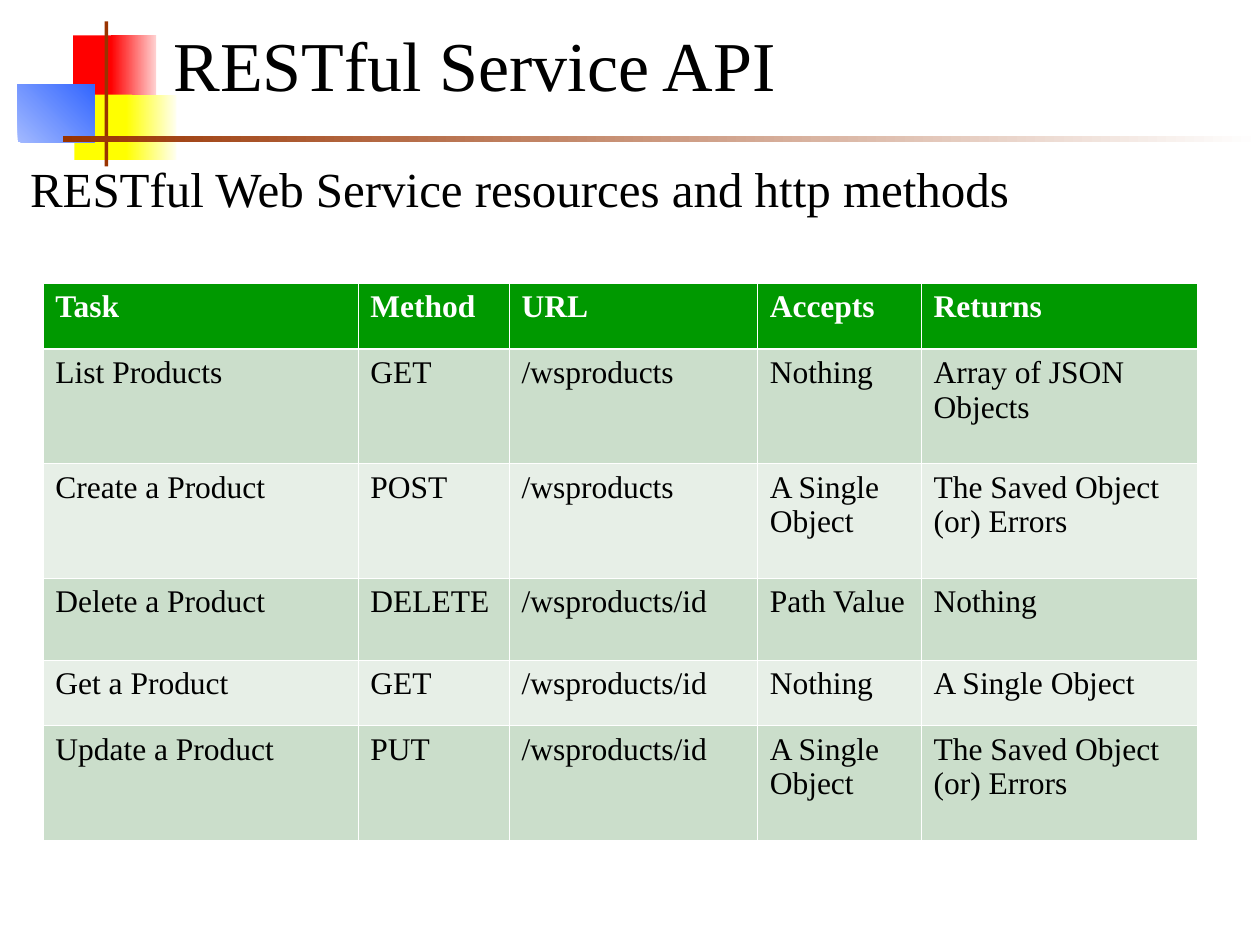
from typing import NamedTuple, Optional

from lxml import etree
from pptx import Presentation, util as u
from pptx.dml.color import RGBColor
from pptx.enum import shapes, text
from pptx.oxml.ns import qn

FONT = "Times New Roman"
COLORS = {
    "red": "FF0000", "pale_red": "FFD1D1",
    "yellow": "FFFF00", "pale_yellow": "FFFFF0",
    "blue": "3366FF", "pale_blue": "A2B9FF",
    "brown": "993300", "white": "FFFFFF", "black": "000000",
    "header": "009900", "band_dark": "CBDECB", "band_light": "E7EFE7",
}
THIN, THICK = 0.45, 1.47


class Block(NamedTuple):
    left: float
    top: float
    width: float
    height: float
    color: str
    fade_to: Optional[str] = None
    angle: float = 0


class Label(NamedTuple):
    left: float
    top: float
    width: float
    height: float
    words: str
    size: float
    anchor: text.MSO_ANCHOR
    margin_top: float = 0.05
    space_before: float = 0


BLOCKS = [
    Block(0.58, 0.28, 0.35, 0.52, "red"),
    Block(0.88, 0.28, 0.36, 0.52, "red", "pale_red"),
    Block(0.59, 0.75, 0.46, 0.52, "yellow"),
    Block(1, 0.75, 0.4, 0.52, "yellow", "pale_yellow"),
    Block(0.14, 0.67, 0.61, 0.46, "pale_blue", "blue", 45),
    Block(0.83, 0.17, 0.03, 1.15, "brown"),
    Block(0.5, 1.08, 9.5, 0.05, "brown", "white"),
]
LABELS = [
    Label(1.28, 0.42, 8.7, 0.47, "RESTful Service API", 40,
          text.MSO_ANCHOR.BOTTOM),
    Label(0.14, 1.25, 9.86, 0.75,
          "RESTful Web Service resources and http methods", 28,
          text.MSO_ANCHOR.TOP, margin_top=0.01, space_before=7),
]
COLUMN_WIDTHS = [2.5, 1.2, 1.97, 1.3, 2.19]
ROW_HEIGHTS = [0.52, 0.91, 0.91, 0.65, 0.52, 0.91]
ROWS = [
    ("Task", "Method", "URL", "Accepts", "Returns"),
    ("List Products", "GET", "/wsproducts", "Nothing",
     "Array of JSON Objects"),
    ("Create a Product", "POST", "/wsproducts", "A Single Object",
     "The Saved Object (or) Errors"),
    ("Delete a Product", "DELETE", "/wsproducts/id", "Path Value", "Nothing"),
    ("Get a Product", "GET", "/wsproducts/id", "Nothing", "A Single Object"),
    ("Update a Product", "PUT", "/wsproducts/id", "A Single Object",
     "The Saved Object (or) Errors"),
]


def rgb(name: str) -> RGBColor:
    return RGBColor.from_string(COLORS[name])


def write(frame, words: str, size: float, color: str, bold: bool = False):
    frame.text = words
    paragraph = frame.paragraphs[0]
    font = paragraph.runs[0].font
    font.name, font.size, font.bold = FONT, u.Pt(size), bold
    font.color.rgb = rgb(color)
    return paragraph


def draw_block(slide, block: Block) -> None:
    shape = slide.shapes.add_shape(
        shapes.MSO_SHAPE.RECTANGLE, *(u.Inches(n) for n in block[:4]))
    shape.shadow.inherit = False
    shape.line.fill.background()
    if block.fade_to is None:
        shape.fill.solid()
        shape.fill.fore_color.rgb = rgb(block.color)
        return
    shape.fill.gradient()
    shape.fill.gradient_angle = block.angle
    stops = shape.fill.gradient_stops
    for stop, color, position in zip(stops, (block.color, block.fade_to), (0, 1)):
        stop.color.rgb = rgb(color)
        stop.position = position


def draw_label(slide, label: Label) -> None:
    box = slide.shapes.add_textbox(*(u.Inches(n) for n in label[:4]))
    frame = box.text_frame
    frame.word_wrap = True
    frame.vertical_anchor = label.anchor
    frame.margin_top = u.Inches(label.margin_top)
    paragraph = write(frame, label.words, label.size, "black")
    paragraph.space_before = u.Pt(label.space_before)


def set_borders(cell, top: float, bottom: float) -> None:
    properties = cell._tc.get_or_add_tcPr()
    widths = {"a:lnL": THIN, "a:lnR": THIN, "a:lnT": top, "a:lnB": bottom}
    for index, (tag, width) in enumerate(widths.items()):
        line = etree.Element(qn(tag), w=str(u.Pt(width)))
        fill = etree.SubElement(line, qn("a:solidFill"))
        etree.SubElement(fill, qn("a:srgbClr"), val=COLORS["white"])
        properties.insert(index, line)


def draw_table(slide) -> None:
    table = slide.shapes.add_table(
        len(ROWS), len(COLUMN_WIDTHS), u.Inches(0.34), u.Inches(2.25),
        u.Inches(sum(COLUMN_WIDTHS)), u.Inches(sum(ROW_HEIGHTS))).table
    for column, width in zip(table.columns, COLUMN_WIDTHS):
        column.width = u.Inches(width)
    for row, height in zip(table.rows, ROW_HEIGHTS):
        row.height = u.Inches(height)
    for i, row in enumerate(ROWS):
        header = i == 0
        band = "header" if header else "band_dark" if i % 2 else "band_light"
        for j, words in enumerate(row):
            cell = table.cell(i, j)
            write(cell.text_frame, words, 18,
                  "white" if header else "black", header)
            cell.fill.solid()
            cell.fill.fore_color.rgb = rgb(band)
            set_borders(cell, THICK if i == 1 else THIN,
                        THICK if header else THIN)


def main() -> None:
    presentation = Presentation()
    presentation.slide_width = u.Inches(10)
    presentation.slide_height = u.Inches(7.5)
    slide = presentation.slides.add_slide(presentation.slide_layouts[6])

    # Corner ornament and rule
    for block in BLOCKS:
        draw_block(slide, block)

    # Title and subtitle
    for label in LABELS:
        draw_label(slide, label)

    # Service methods
    draw_table(slide)
    presentation.save("out.pptx")


if __name__ == "__main__":
    main()
